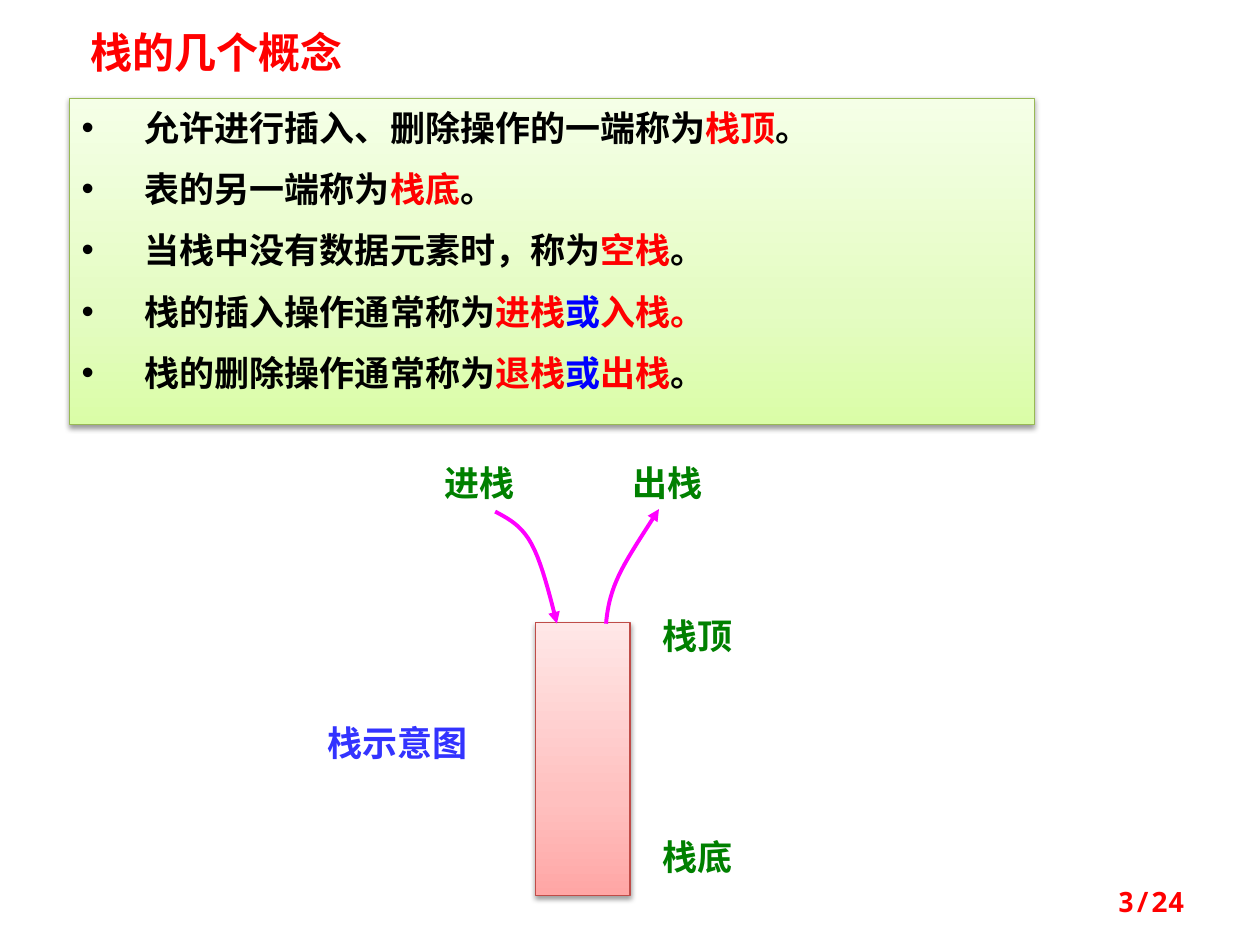
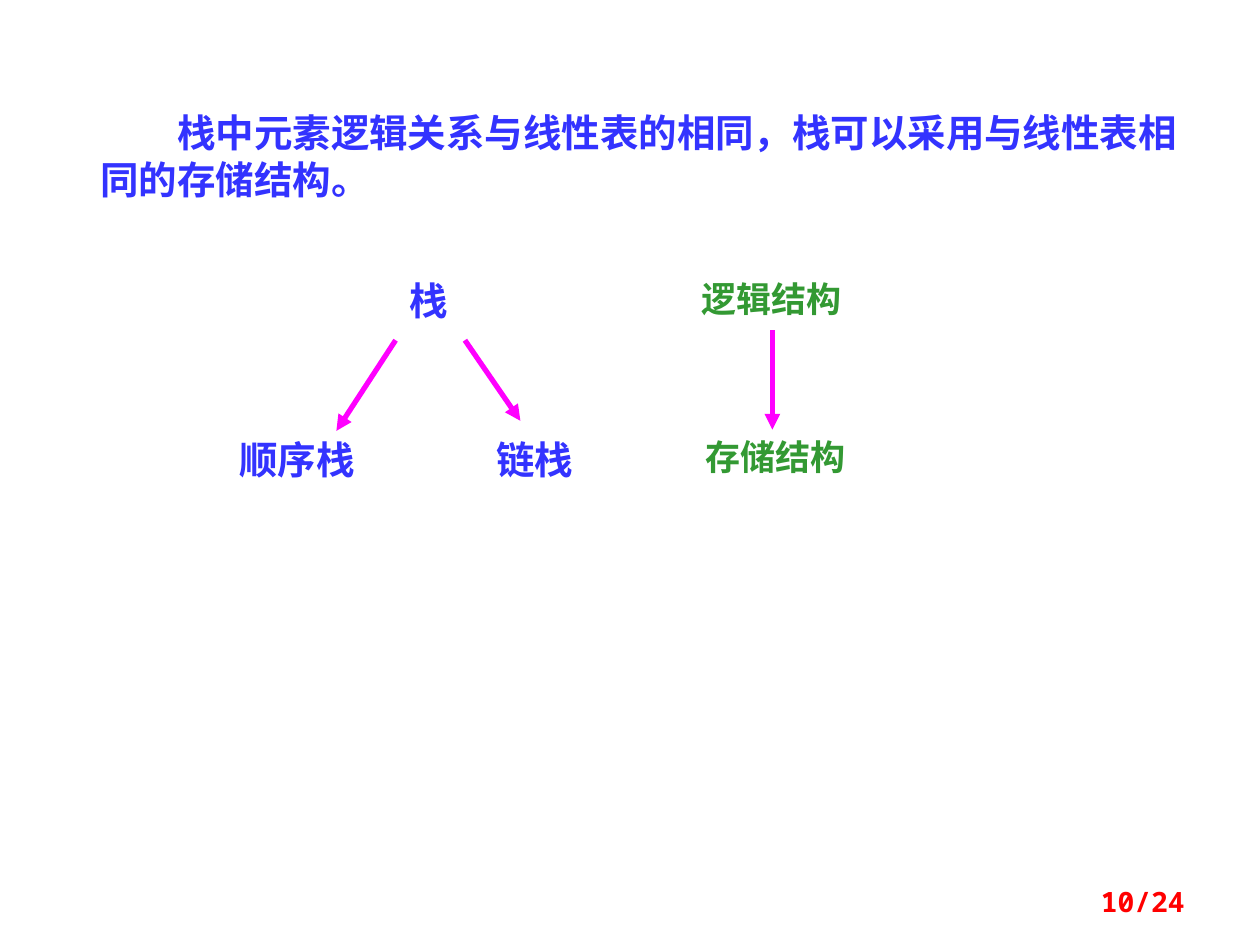
from copy import deepcopy

from lxml import etree
from pptx import Presentation
from pptx.dml.color import RGBColor
from pptx.enum.lang import MSO_LANGUAGE_ID
from pptx.enum.shapes import MSO_CONNECTOR, MSO_SHAPE
from pptx.enum.text import MSO_ANCHOR, PP_ALIGN
from pptx.oxml.ns import qn
from pptx.util import Inches, Pt

CHINESE = MSO_LANGUAGE_ID.SIMPLIFIED_CHINESE
STRAIGHT = MSO_CONNECTOR.STRAIGHT
RECTANGLE = MSO_SHAPE.RECTANGLE
TOP, MIDDLE = MSO_ANCHOR.TOP, MSO_ANCHOR.MIDDLE
LEFT, CENTER, RIGHT = PP_ALIGN.LEFT, PP_ALIGN.CENTER, PP_ALIGN.RIGHT
JUSTIFY = PP_ALIGN.JUSTIFY

SANS, SERIF, MONO, BODY = "Noto Sans CJK SC", "Times New Roman", "Noto Sans Mono", "Calibri"
COLORS = {
    "black": "000000",
    "red": "FF0000",
    "blue": "0000FF",
    "indigo": "3333FF",
    "green": "008000",
    "leaf": "339933",
    "arrow": "FF00FF",
    "panel_line": "98B955",
    "stack_line": "BF4C48",
}
PANEL_STOPS = [(0, "DAFDA7"), (0.35, "E4FCC2"), (1, "F5FFE7")]
STACK_STOPS = [(0, "FFA6A5"), (0.35, "FFC0BF"), (1, "FFE7E7")]
TOTAL_PAGES = 24


def bezier(start, control_1, control_2, end, steps=10):
    """Return points along a cubic curve, leaving out its start."""
    points = []
    for step in range(1, steps + 1):
        t = step / steps
        weights = ((1 - t) ** 3, 3 * t * (1 - t) ** 2, 3 * t * t * (1 - t), t ** 3)
        corners = (start, control_1, control_2, end)
        points.append(tuple(sum(w * c[axis] for w, c in zip(weights, corners)) for axis in (0, 1)))
    return points


class DeckBuilder:
    """Hold the deck style and draw elements on the current page."""

    def __init__(self):
        self.deck = Presentation()
        self.deck.slide_width, self.deck.slide_height = Inches(10), Inches(7.5)
        self.page = None

    def new_page(self, number):
        self.page = self.deck.slides.add_slide(self.deck.slide_layouts[6])
        self.text(7.17, 6.95, 2.33, 0.4, f"{number}/{TOTAL_PAGES}", "red",
                  size=16, font=MONO, align=RIGHT, anchor=MIDDLE)

    def span(self, para, text, color, size, font):
        run = para.add_run()
        run.text = text
        run.font.name, run.font.size, run.font.bold = font, Pt(size), True
        run.font.language_id = CHINESE
        run.font.color.rgb = RGBColor.from_string(COLORS[color])
        etree.SubElement(run.font._element, qn("a:ea"), typeface=BODY)

    def text(self, left, top, width, height, text, color, size=20, font=SANS,
             align=LEFT, anchor=TOP, indent=0):
        box = self.page.shapes.add_textbox(*map(Inches, (left, top, width, height)))
        frame = box.text_frame
        frame.word_wrap, frame.vertical_anchor = True, anchor
        para = frame.paragraphs[0]
        para.alignment = align
        if indent:
            para._p.get_or_add_pPr().set("indent", str(Inches(indent)))
        self.span(para, text, color, size, font)

    def gradient_box(self, left, top, width, height, stops, line):
        box = self.page.shapes.add_shape(RECTANGLE, *map(Inches, (left, top, width, height)))
        box.fill.gradient()
        box.fill.gradient_angle = 90
        properties = box._element.spPr
        stop_list = properties.find(".//" + qn("a:gsLst"))
        stop_list.insert(1, deepcopy(stop_list[0]))
        for stop, (position, color) in zip(box.fill.gradient_stops, stops):
            stop.position = position
            stop.color.rgb = RGBColor.from_string(color)
        box.line.color.rgb = RGBColor.from_string(COLORS[line])
        box.line.width = Pt(0.75)
        box.shadow.inherit = False
        shadow = etree.SubElement(properties.find(qn("a:effectLst")), qn("a:outerShdw"),
                                  blurRad=str(Pt(3.1)), dist=str(Pt(1.6)),
                                  dir="5400000", rotWithShape="0")
        shade = etree.SubElement(shadow, qn("a:srgbClr"), val=COLORS["black"])
        etree.SubElement(shade, qn("a:alpha"), val="38000")
        return box

    def bullets(self, box, items):
        frame = box.text_frame
        frame.word_wrap, frame.vertical_anchor = True, TOP
        for index, (align, spans) in enumerate(items):
            para = frame.add_paragraph() if index else frame.paragraphs[0]
            para.alignment, para.line_spacing = align, Pt(25)
            if index:
                para.space_before = Pt(10)
            settings = para._p.get_or_add_pPr()
            settings.set("marL", str(Inches(0.5)))
            settings.set("indent", str(Inches(-0.5)))
            bullet_color = etree.SubElement(settings, qn("a:buClr"))
            etree.SubElement(bullet_color, qn("a:srgbClr"), val=COLORS["black"])
            etree.SubElement(settings, qn("a:buFont"), typeface="Arial")
            etree.SubElement(settings, qn("a:buChar"), char="•")
            for text, color in spans:
                self.span(para, text, color, 20, BODY)

    def arrow_style(self, shape, width):
        shape.line.color.rgb = RGBColor.from_string(COLORS["arrow"])
        shape.line.width = Pt(width)
        etree.SubElement(shape._element.spPr.find(qn("a:ln")), qn("a:tailEnd"), type="triangle")

    def arrow(self, start, end):
        line = self.page.shapes.add_connector(STRAIGHT, *map(Inches, start + end))
        self.arrow_style(line, 3)
        etree.SubElement(line._element.spPr, qn("a:effectLst"))

    def curved_arrow(self, start, *curves):
        points = [start]
        for curve in curves:
            points += bezier(points[-1], *curve)
        corners = [(Inches(x), Inches(y)) for x, y in points]
        builder = self.page.shapes.build_freeform(*corners[0])
        builder.add_line_segments(corners[1:], close=False)
        shape = builder.convert_to_shape()
        shape.fill.background()
        shape.shadow.inherit = False
        self.arrow_style(shape, 2.25)


def concepts_page(builder):
    """Draw the stack concepts and the stack diagram."""
    builder.new_page(3)
    builder.text(0.62, 0.16, 2.42, 0.5, "栈的几个概念", "red", size=24)
    panel = builder.gradient_box(0.55, 0.78, 7.66, 2.59, PANEL_STOPS, "panel_line")
    builder.bullets(panel, [
        (LEFT, [("允许进行插入、删除操作的一端称为", "black"), ("栈顶", "red"), ("。", "black")]),
        (LEFT, [("表的另一端称为", "black"), ("栈底", "red"), ("。", "black")]),
        (JUSTIFY, [("当栈中没有数据元素时，称为", "black"), ("空栈", "red"), ("。", "black")]),
        (JUSTIFY, [("栈的插入操作通常称为", "black"), ("进栈", "red"), ("或", "blue"),
                   ("入栈。", "red")]),
        (JUSTIFY, [("栈的删除操作通常称为", "black"), ("退栈", "red"), ("或", "blue"),
                   ("出栈", "red"), ("。", "black")]),
    ])
    builder.gradient_box(4.25, 4.94, 0.75, 2.17, STACK_STOPS, "stack_line")
    for left, top, width, label, color in [
        (5.16, 4.83, 1.01, "栈顶", "green"),
        (5.16, 6.58, 0.94, "栈底", "green"),
        (2.5, 5.68, 1.48, "栈示意图", "indigo"),
        (3.43, 3.61, 1.25, "进栈", "green"),
        (4.92, 3.61, 1.25, "出栈", "green"),
    ]:
        builder.text(left, top, width, 0.44, label, color)
    builder.curved_arrow((3.93, 4.06),
                         ((4.04, 4.12), (4.14, 4.17), (4.22, 4.32)),
                         ((4.3, 4.47), (4.36, 4.71), (4.42, 4.95)))
    builder.curved_arrow((4.81, 4.95),
                         ((4.82, 4.84), (4.84, 4.72), (4.91, 4.57)),
                         ((4.98, 4.42), (5.11, 4.23), (5.23, 4.04)))


def storage_page(builder):
    """Draw how stacks are stored."""
    builder.new_page(10)
    builder.text(0.7, 0.82, 8.83, 0.84,
                 "栈中元素逻辑关系与线性表的相同，栈可以采用与线性表相同的存储结构。",
                 "indigo", size=22, font=SERIF, indent=0.61)
    for left, top, width, label, color, size, align in [
        (2.98, 2.15, 0.85, "栈", "indigo", 22, CENTER),
        (1.8, 3.41, 1.65, "顺序栈", "indigo", 22, LEFT),
        (3.84, 3.41, 1.18, "链栈", "indigo", 22, LEFT),
        (5.47, 2.15, 1.48, "逻辑结构", "leaf", 20, LEFT),
        (5.5, 3.41, 1.57, "存储结构", "leaf", 20, LEFT),
    ]:
        builder.text(left, top, width, 0.45, label, color, size=size, font=SERIF, align=align)
    builder.arrow((3.14, 2.7), (2.67, 3.42))
    builder.arrow((3.69, 2.7), (4.13, 3.34))
    builder.arrow((6.13, 2.62), (6.13, 3.41))


def main():
    """Build both pages and save the deck."""
    builder = DeckBuilder()
    concepts_page(builder)
    storage_page(builder)
    builder.deck.save("out.pptx")


if __name__ == "__main__":
    main()
